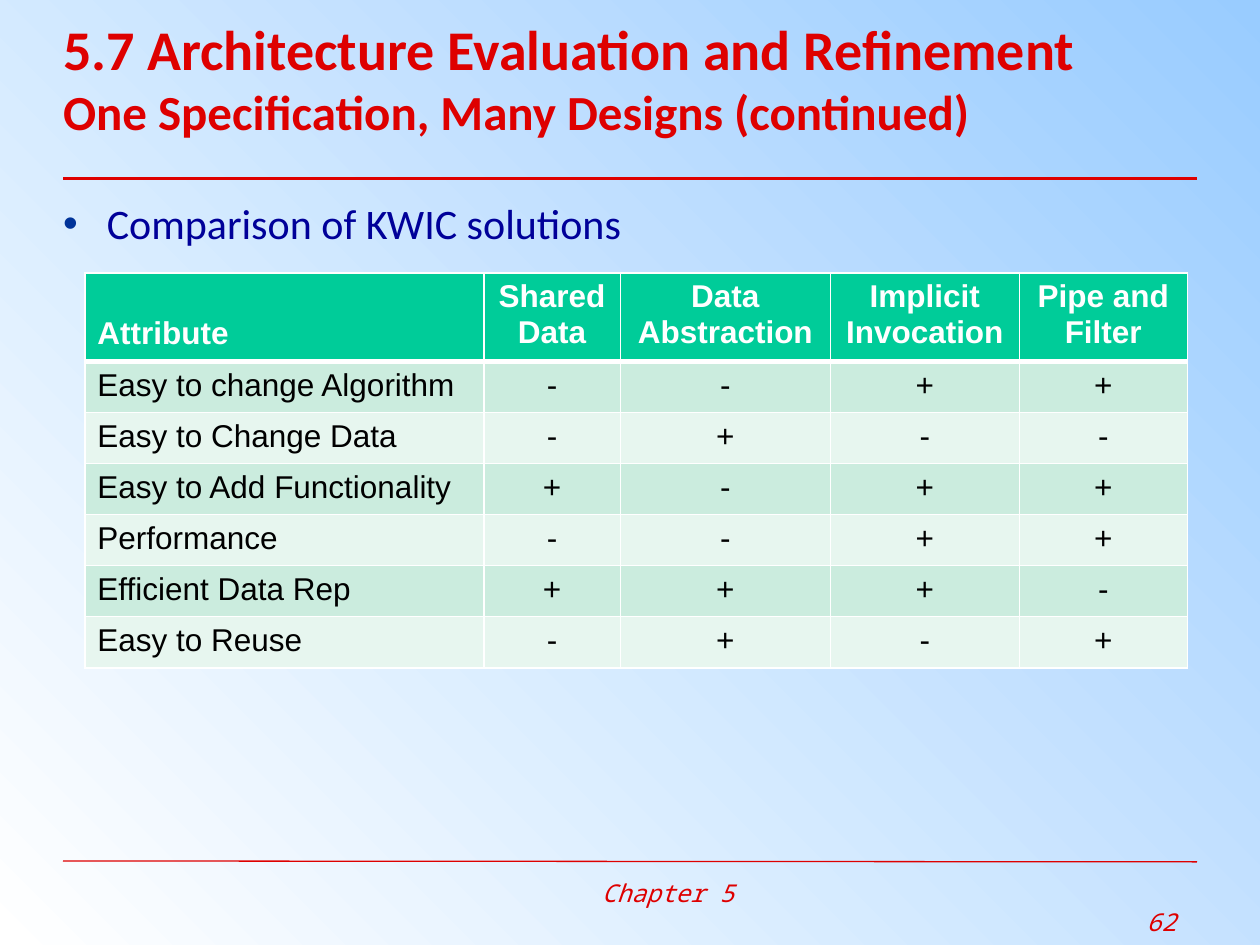
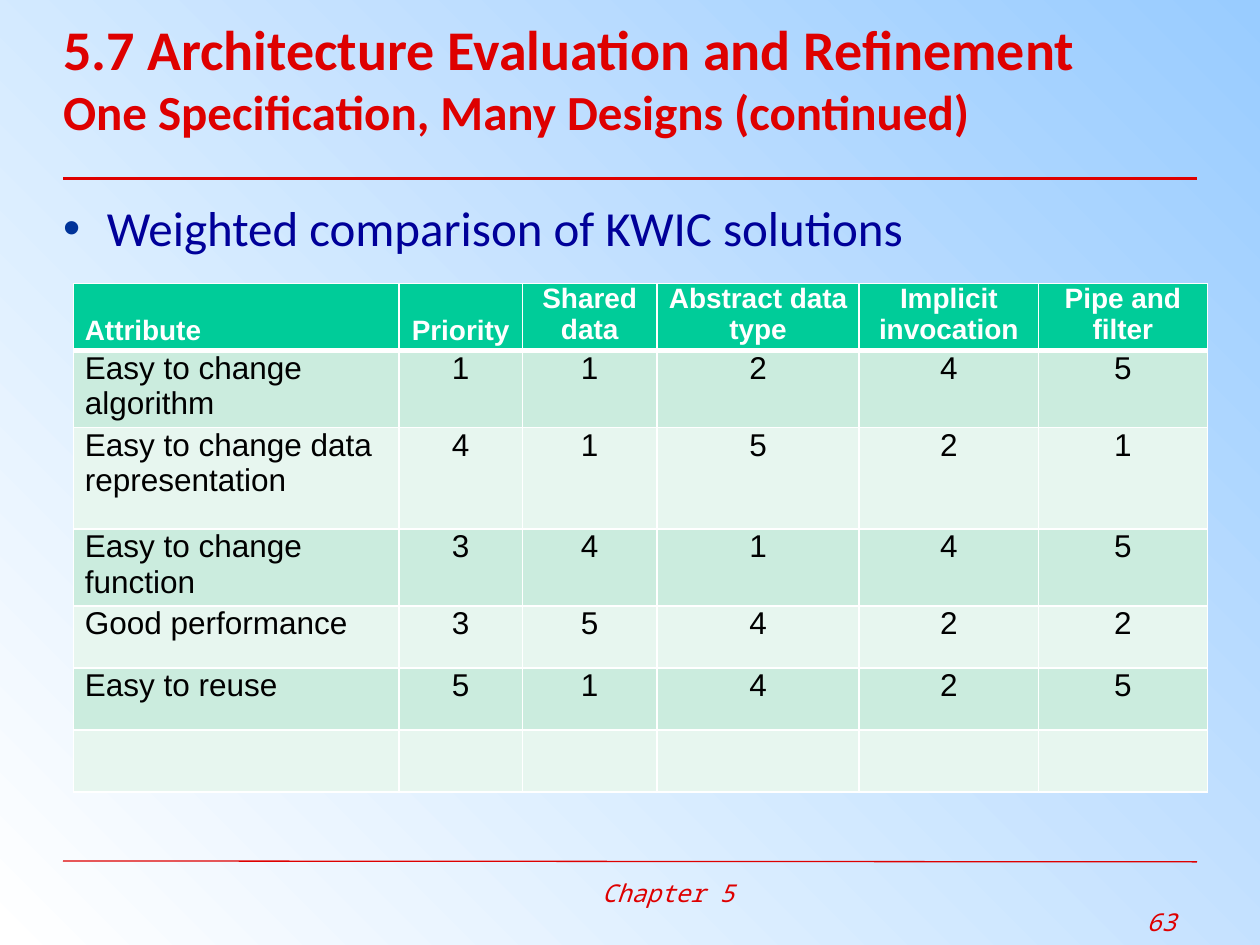
from lxml.etree import SubElement
from pptx import Presentation
from pptx.dml.color import RGBColor
from pptx.enum.shapes import MSO_CONNECTOR as Connector
from pptx.enum.text import MSO_ANCHOR as Anchor, PP_ALIGN as Align
from pptx.oxml.ns import qn
from pptx.util import Pt

COLORS = {
    "sky": "99CCFF", "white": "FFFFFF", "red": "DE0000", "navy": "000099", "bullet": "003399",
    "header": "00CC99", "mint": "CBECDE", "pale": "E7F6EF", "black": "000000",
}
FORMATS = {
    "title": {"name": "Calibri", "size": Pt(32), "bold": True},
    "subtitle": {"name": "Calibri", "size": Pt(28), "bold": True},
    "footer": {"name": "Noto Sans Mono", "size": Pt(14), "italic": True},
    "point": {"name": "Calibri", "bold": False},
    "head": {"name": "Arial", "bold": True},
    "cell": {"name": "Arial", "bold": False},
}
TITLE = "5.7 Architecture Evaluation and Refinement"
SUBTITLE = "One Specification, Many Designs (continued)"
LINE_HEIGHT = 1.15

KWIC_HEADS = ["Attribute", "Shared\nData", "Data\nAbstraction", "Implicit Invocation", "Pipe and\nFilter"]
KWIC_RATINGS = [
    ["Easy to change Algorithm", *"--++"],
    ["Easy to Change Data", *"-+--"],
    ["Easy to Add Functionality", *"+-++"],
    ["Performance", *"--++"],
    ["Efficient Data Rep", *"+++-"],
    ["Easy to Reuse", *"-+-+"],
]
WEIGHTED_HEADS = ["Attribute", "Priority", "Shared data", "Abstract data type",
                  "Implicit invocation", "Pipe and filter"]
WEIGHTED_RATINGS = [
    ["Easy to change algorithm", *"11245"],
    ["Easy to change data representation", *"41521"],
    ["Easy to change function", *"34145"],
    ["Good performance", *"35422"],
    ["Easy to reuse", *"51425"],
    [""] * 6,
]


def rgb(color):
    """Return the named colour."""
    return RGBColor.from_string(COLORS[color])


def assign(target, values):
    """Set each attribute in the dict on the target."""
    for attribute, value in values.items():
        setattr(target, attribute, value)


class Deck:
    """Holds the lecture style and the slide being built."""

    def __init__(self):
        """Start an empty 10 by 7.5 inch presentation."""
        self.prs = Presentation()
        assign(self.prs, {"slide_width": Pt(720), "slide_height": Pt(540)})
        self.slide = None

    def new_slide(self, number):
        """Add a slide with background, title, rules and footer."""
        self.slide = self.prs.slides.add_slide(self.prs.slide_layouts[6])
        backdrop = self.slide.background.fill
        backdrop.gradient()
        backdrop.gradient_angle = 225
        for stop, color in zip(backdrop.gradient_stops, ("sky", "white")):
            stop.color.rgb = rgb(color)
        self.rule(492, 492.5, 0.75)
        self.rule(102, 102, 1.5)
        footer = self.text_frame(330, 498, 349, 42, (7, 3.6))
        self.add_text(footer.paragraphs[0], "Chapter 5", "footer", "red")
        footer.paragraphs[0]._p.get_or_add_pPr().set("marL", str(Pt(7)))
        self.add_text(footer.add_paragraph(), number, "footer", "red", Align.RIGHT)
        heading = self.text_frame(36, 0, 672, 88.5)
        heading.vertical_anchor = Anchor.MIDDLE
        self.add_text(heading.paragraphs[0], TITLE, "title", "red")
        self.add_text(heading.add_paragraph(), SUBTITLE, "subtitle", "red")

    def rule(self, start, end, weight):
        """Draw a red line across the slide."""
        line = self.slide.shapes.add_connector(Connector.STRAIGHT, Pt(36), Pt(start), Pt(684), Pt(end))
        line.line.color.rgb = rgb("red")
        line.line.width = Pt(weight)
        SubElement(line._element.spPr, qn("a:effectLst"))

    def text_frame(self, left, top, width, height, inset=(0, 0)):
        """Add a wrapping text box and return its frame."""
        frame = self.slide.shapes.add_textbox(Pt(left), Pt(top), Pt(width), Pt(height)).text_frame
        frame.word_wrap = True
        self.pad(frame, inset)
        return frame

    def pad(self, holder, inset):
        """Set side and vertical margins of a frame or cell."""
        side, edge = map(Pt, inset)
        assign(holder, {"margin_left": side, "margin_right": side, "margin_top": edge, "margin_bottom": edge})

    def add_text(self, paragraph, text, style, color, align=Align.LEFT, **extra):
        """Add one formatted run to a paragraph."""
        paragraph.alignment = align
        run = paragraph.add_run()
        run.text = text
        assign(run.font, {**FORMATS[style], **extra})
        run.font.color.rgb = rgb(color)

    def point(self, text, size):
        """Add the bulleted statement under the title."""
        paragraph = self.text_frame(36, 113, 646.5, 40).paragraphs[0]
        props = paragraph._p.get_or_add_pPr()
        props.set("marL", str(Pt(25)))
        props.set("indent", str(-Pt(25)))
        SubElement(SubElement(props, qn("a:buClr")), qn("a:srgbClr"), val=COLORS["bullet"])
        SubElement(props, qn("a:buFont"), typeface="Arial")
        SubElement(props, qn("a:buChar"), char="•")
        self.add_text(paragraph, text, "point", "navy", size=Pt(size))

    def borders(self, cell, top, bottom):
        """Give a cell white borders."""
        props = cell._tc.get_or_add_tcPr()
        for edge, weight in (("L", 1), ("R", 1), ("T", top), ("B", bottom)):
            line = SubElement(props, qn(f"a:ln{edge}"), w=str(Pt(weight)))
            SubElement(SubElement(line, qn("a:solidFill")), qn("a:srgbClr"), val=COLORS["white"])

    def ratings(self, origin, widths, heights, heads, ratings, head_size, inset):
        """Add a comparison table with a header row and banded ratings."""
        left, top = map(Pt, origin)
        table = self.slide.shapes.add_table(len(heights), len(widths), left, top,
                                            Pt(sum(widths)), Pt(sum(heights))).table
        assign(table, {"first_row": False, "horz_banding": False})
        for column, width in zip(table.columns, widths):
            column.width = Pt(width)
        for row, height in zip(table.rows, heights):
            row.height = Pt(height)
        for r, values in enumerate([heads, *ratings]):
            style, color, size = ("cell", "black", 18) if r else ("head", "white", head_size)
            band = ("pale", "mint")[r % 2] if r else "header"
            for c, value in enumerate(values):
                cell = table.cell(r, c)
                self.pad(cell, inset)
                if r == 0 and len(value.split()) == 1:
                    cell.margin_top = Pt(inset[1] + head_size * LINE_HEIGHT)
                self.borders(cell, 3 if r == 1 else 1, 1 if r else 3)
                cell.fill.solid()
                cell.fill.fore_color.rgb = rgb(band)
                frame = cell.text_frame
                for i, part in enumerate(value.split("\n")):
                    paragraph = frame.add_paragraph() if i else frame.paragraphs[0]
                    self.add_text(paragraph, part, style, color, Align.CENTER if c else Align.LEFT, size=Pt(size))


def main():
    """Build both comparison slides."""
    deck = Deck()
    deck.new_slide("62")
    deck.point("Comparison of KWIC solutions", 24)
    deck.ratings((48.5, 156), [228, 78, 120, 108, 96], [50.2] + [29.2] * 6,
                 KWIC_HEADS, KWIC_RATINGS, 18, (7.2, 3.6))
    deck.new_slide("63")
    deck.point("Weighted comparison of KWIC solutions", 28)
    deck.ratings((42, 162), [186, 70.5, 77, 115.5, 102.5, 96.5], [38, 44, 58, 44] + [35.4] * 3,
                 WEIGHTED_HEADS, WEIGHTED_RATINGS, 16, (6.5, 0))
    deck.prs.save("out.pptx")


if __name__ == "__main__":
    main()
